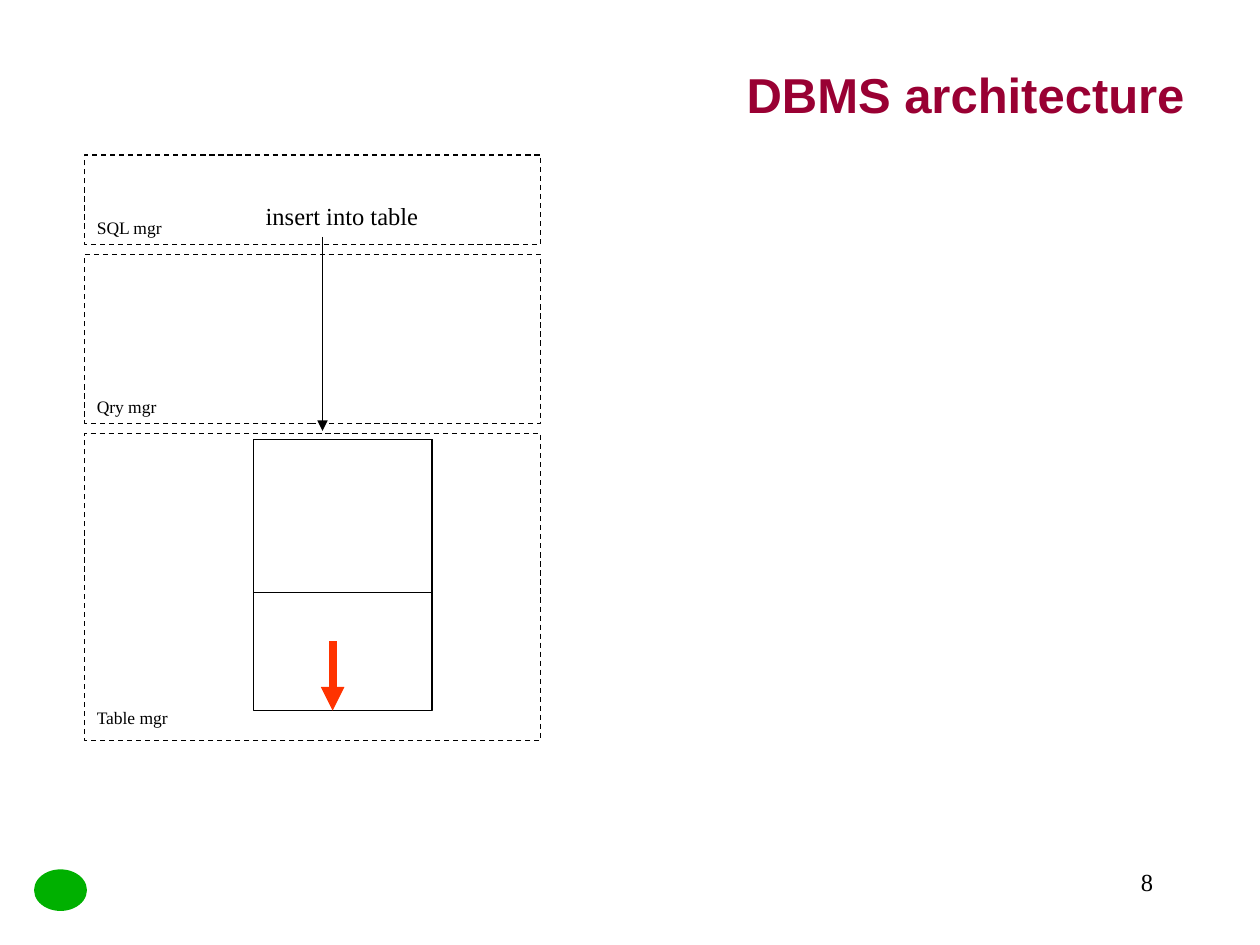
from dataclasses import dataclass

from lxml.etree import SubElement
from pptx import Presentation
from pptx.dml.color import RGBColor as RGB
from pptx.enum.dml import MSO_LINE_DASH_STYLE as DASH
from pptx.enum.shapes import MSO_CONNECTOR as CONN, MSO_SHAPE as SHAPE
from pptx.enum.text import MSO_ANCHOR as ANCHOR, PP_ALIGN as ALIGN
from pptx.oxml.ns import qn
from pptx.util import Inches, Pt


@dataclass
class Theme:
    title: RGB = RGB(0x99, 0x00, 0x33)
    ink: RGB = RGB(0, 0, 0)
    accent: RGB = RGB(0xFF, 0x33, 0x00)
    emblem: RGB = RGB(0, 0xB0, 0)
    heading_font: str = "Arial"
    body_font: str = "Times New Roman"
    title_size: int = 28
    body_size: int = 14
    label_size: int = 10


theme = Theme()


def write(tf, text, size=theme.body_size, font=theme.body_font,
          color=theme.ink, bold=False, align=ALIGN.LEFT, wrap=False):
    tf.word_wrap = wrap
    p = tf.paragraphs[0]
    p.alignment = align
    r = p.add_run()
    r.text = text
    r.font.size = Pt(size)
    r.font.name = font
    r.font.bold = bold
    r.font.color.rgb = color


prs = Presentation()
prs.slide_width, prs.slide_height = Inches(10), Inches(7.5)
s = prs.slides.add_slide(prs.slide_layouts[5])

emblem = s.shapes.add_shape(
    SHAPE.OVAL, Inches(0.27), Inches(6.9), Inches(0.42), Inches(0.33))
emblem.shadow.inherit = False
emblem.fill.solid()
emblem.fill.fore_color.rgb = theme.emblem
emblem.line.fill.background()

title = s.shapes.title
title.left, title.top = Inches(1.17), Inches(0.33)
title.width, title.height = Inches(8.33), Inches(0.83)
title.text_frame.vertical_anchor = ANCHOR.MIDDLE
write(title.text_frame, "DBMS architecture", size=theme.title_size,
      font=theme.heading_font, color=theme.title, bold=True,
      align=ALIGN.RIGHT, wrap=True)

layers = [(1.23, 0.71), (2.02, 1.34), (3.44, 2.44)]
table_parts = [(3.49, 1.21), (3.49, 2.15)]
boxes = [(0.67, y, 3.62, h, DASH.DASH) for y, h in layers]
boxes += [(2.01, y, 1.42, h, DASH.SOLID) for y, h in table_parts]
for x, y, w, h, dash in boxes:
    sp = s.shapes.add_shape(
        SHAPE.RECTANGLE, Inches(x), Inches(y), Inches(w), Inches(h))
    sp.shadow.inherit = False
    sp.fill.background()
    sp.line.color.rgb = theme.ink
    sp.line.width = Pt(0.75)
    sp.line.dash_style = dash

texts = [
    ("SQL mgr", 0.67, 1.67, 0.75, 0.27, {"size": theme.label_size}),
    ("Qry mgr", 0.67, 3.09, 0.7, 0.27, {"size": theme.label_size}),
    ("Table mgr", 0.67, 5.56, 0.77, 0.27, {"size": theme.label_size}),
    ("insert into table", 2.01, 1.55, 1.41, 0.34, {}),
    ("8", 7.17, 6.83, 2.08, 0.5, {"align": ALIGN.RIGHT, "wrap": True}),
]
for text, x, y, w, h, style in texts:
    tb = s.shapes.add_textbox(Inches(x), Inches(y), Inches(w), Inches(h))
    write(tb.text_frame, text, **style)

arrows = [
    (2.56, 1.88, 3.42, theme.ink, 0.75),
    (2.64, 5.09, 5.64, theme.accent, 4.5),
]
for x, top, bottom, color, width in arrows:
    arrow = s.shapes.add_connector(
        CONN.STRAIGHT, Inches(x), Inches(top), Inches(x), Inches(bottom))
    arrow.line.color.rgb = color
    arrow.line.width = Pt(width)
    SubElement(arrow.line._get_or_add_ln(), qn("a:tailEnd"), type="triangle")
    SubElement(arrow._element.spPr, qn("a:effectLst"))

prs.save("out.pptx")
